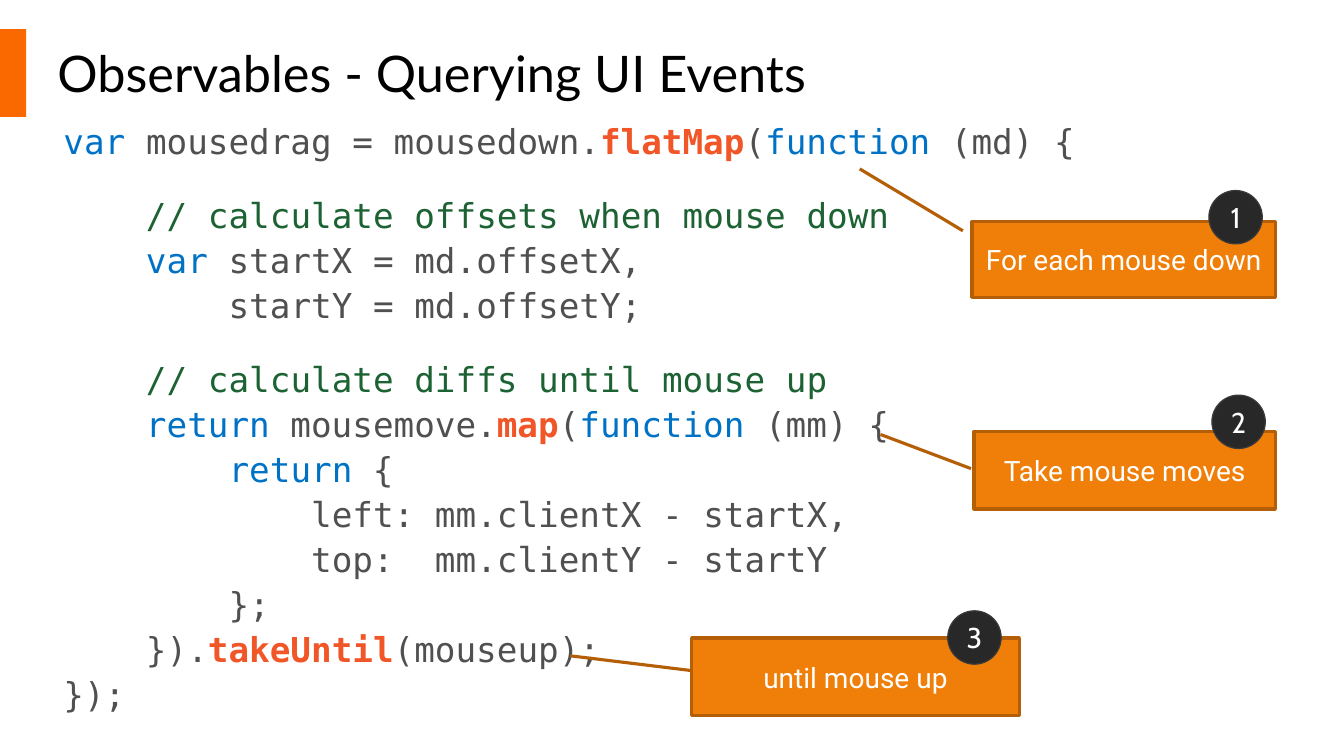
from dataclasses import dataclass

from pptx import Presentation
from pptx import util as u
from pptx.dml.color import RGBColor
from pptx.enum import shapes, text

PLAIN, KEYWORD, OPERATOR, COMMENT = "505050", "0072C6", "F15628", "1C6233"
WHITE = "FFFFFF"
BADGE_SIZE = 0.53
LINE_GAP, BLOCK_GAP = 5.7, 26.4


@dataclass
class CodeLine:
    tokens: list[tuple[str, str]]
    gap: float = LINE_GAP


@dataclass
class Step:
    number: str
    label: str
    box: tuple[float, float, float, float]
    pointer: tuple[float, float, float, float]
    badge: tuple[float, float]


CODE = [
    CodeLine([("var ", KEYWORD), ("mousedrag = mousedown.", PLAIN), ("flatMap", OPERATOR),
              ("(", PLAIN), ("function", KEYWORD), (" (md) {", PLAIN)], 0),
    CodeLine([("    // calculate offsets when mouse down", COMMENT)], BLOCK_GAP),
    CodeLine([("    var ", KEYWORD), ("startX = md.offsetX,", PLAIN)]),
    CodeLine([("        startY = md.offsetY;", PLAIN)]),
    CodeLine([("    // calculate diffs until mouse up", COMMENT)], BLOCK_GAP),
    CodeLine([("    return ", KEYWORD), ("mousemove.", PLAIN), ("map", OPERATOR),
              ("(", PLAIN), ("function", KEYWORD), (" (mm) {", PLAIN)]),
    CodeLine([("        return", KEYWORD), (" {", PLAIN)]),
    CodeLine([("            left: mm.clientX - startX,", PLAIN)]),
    CodeLine([("            top:  mm.clientY - startY", PLAIN)]),
    CodeLine([("        };", PLAIN)]),
    CodeLine([("    }).", PLAIN), ("takeUntil", OPERATOR), ("(mouseup);", PLAIN)]),
    CodeLine([("});", PLAIN)]),
]

STEPS = [
    Step("3", "until mouse up", (6.86, 6.33, 3.25, 0.77), (0.42, 0, 0.23, -0.37), (9.4, 6.06)),
    Step("2", "Take mouse moves", (9.66, 4.28, 2.99, 0.77), (0.48, -0.01, 0.04, -0.31), (12.02, 3.92)),
    Step("1", "For each mouse down", (9.64, 2.2, 3.01, 0.75), (0.12, -0.03, -0.7, -0.37), (11.99, 1.89)),
]


def rgb(colour: str) -> RGBColor:
    return RGBColor.from_string(colour)


def style_run(run, font: str, size: float, colour: str, bold: bool = False) -> None:
    run.font.name = font
    run.font.size = u.Pt(size)
    run.font.bold = bold
    run.font.color.rgb = rgb(colour)


def add_filled(slide, kind, box: tuple, fill: str, line: str = "", width: float = 0):
    shape = slide.shapes.add_shape(kind, *map(u.Inches, box))
    shape.shadow.inherit = False
    shape.fill.solid()
    shape.fill.fore_color.rgb = rgb(fill)
    if line:
        shape.line.color.rgb = rgb(line)
        shape.line.width = u.Pt(width)
    else:
        shape.line.fill.background()
    return shape


def write_centred(shape, words: str, font: str, size: float) -> None:
    frame = shape.text_frame
    frame.text = words
    frame.vertical_anchor = text.MSO_ANCHOR.MIDDLE
    paragraph = frame.paragraphs[0]
    paragraph.alignment = text.PP_ALIGN.CENTER
    style_run(paragraph.runs[0], font, size, WHITE)


def add_title(slide, words: str) -> None:
    title = slide.shapes.title
    title.left, title.top, title.width, title.height = map(u.Inches, (0.47, 0.29, 11.94, 0.85))
    frame = title.text_frame
    frame.text = words
    frame.vertical_anchor = text.MSO_ANCHOR.MIDDLE
    frame.paragraphs[0].alignment = text.PP_ALIGN.LEFT
    style_run(frame.paragraphs[0].runs[0], "Lato", 36, "000000")


def add_code(slide, lines: list[CodeLine]) -> None:
    listing = slide.shapes.add_textbox(*map(u.Inches, (0.47, 1.14, 12.44, 6.3)))
    frame = listing.text_frame
    frame.word_wrap = True
    frame.margin_left = frame.margin_right = u.Inches(0.16)
    frame.margin_top = frame.margin_bottom = u.Inches(0.1)
    for index, line in enumerate(lines):
        paragraph = frame.add_paragraph() if index else frame.paragraphs[0]
        paragraph.line_spacing = 0.9
        paragraph.space_before = u.Pt(line.gap)
        for words, colour in line.tokens:
            run = paragraph.add_run()
            run.text = words
            style_run(run, "DejaVu Sans Mono", 24.5, colour, colour == OPERATOR)


def add_step(slide, step: Step) -> None:
    callout = add_filled(slide, shapes.MSO_SHAPE.LINE_CALLOUT_1, step.box, "F07F09", "B45F07", 2.25)
    for index, value in enumerate(step.pointer):
        callout.adjustments[index] = value
    write_centred(callout, step.label, "Roboto", 20)
    badge = add_filled(slide, shapes.MSO_SHAPE.OVAL, (*step.badge, BADGE_SIZE, BADGE_SIZE),
                       "282828", "3B3B3B", 0.85)
    write_centred(badge, step.number, "Cabin", 20.4)


def main() -> None:
    deck = Presentation()
    deck.slide_width, deck.slide_height = u.Inches(13.33), u.Inches(7.5)
    slide = deck.slides.add_slide(deck.slide_layouts[5])
    add_filled(slide, shapes.MSO_SHAPE.RECTANGLE, (0, 0.29, 0.26, 0.87), "FA6800")
    add_title(slide, "Observables - Querying UI Events")
    add_code(slide, CODE)
    for step in STEPS:
        add_step(slide, step)
    deck.save("out.pptx")


if __name__ == "__main__":
    main()
